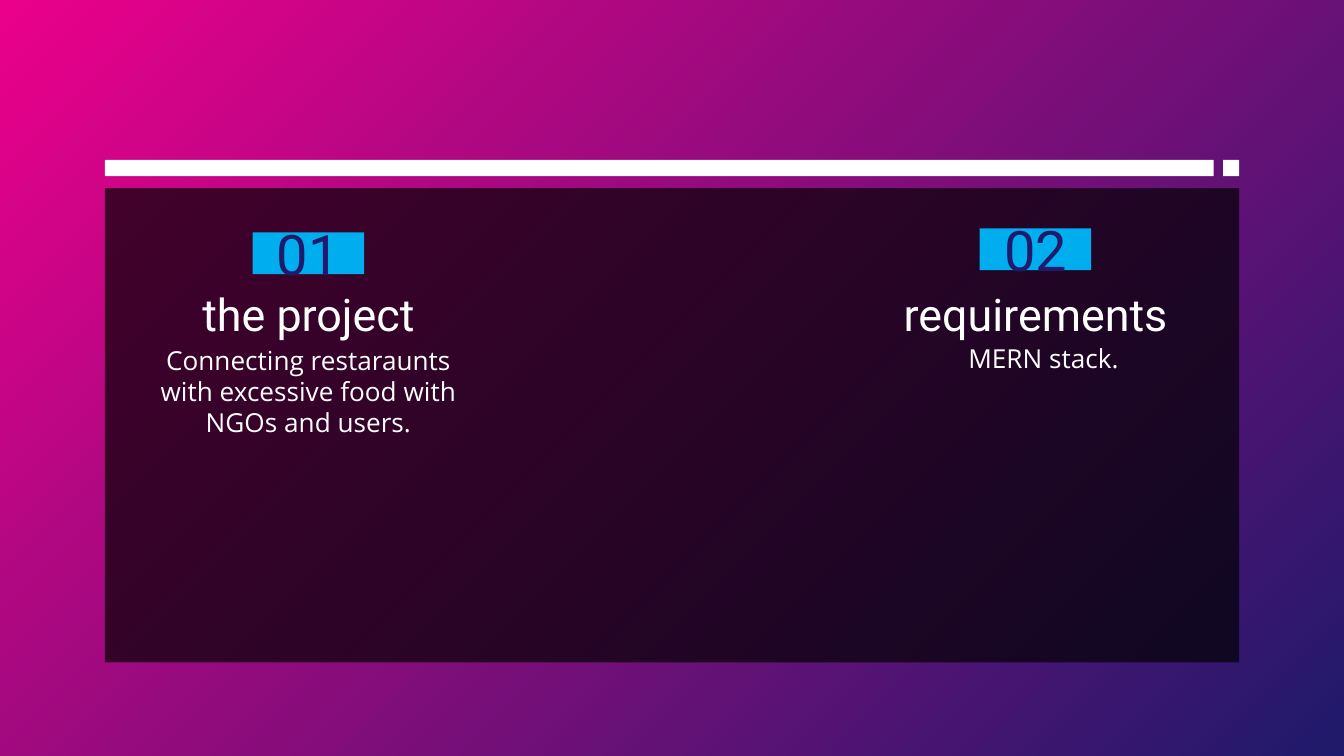
import pptx
import pptx.util
import pptx.dml.color
import pptx.enum.shapes
import pptx.enum.text
import pptx.oxml.ns
import lxml.etree

Inches, Pt = pptx.util.Inches, pptx.util.Pt
RGBColor = pptx.dml.color.RGBColor
Anchor = pptx.enum.text.MSO_ANCHOR

PINK = RGBColor(0xEB, 0x00, 0x8B)
NAVY = RGBColor(0x1F, 0x1A, 0x6B)
BLUE = RGBColor(0x00, 0xAD, 0xEE)
BLACK = RGBColor(0, 0, 0)
WHITE = RGBColor(255, 255, 255)
HEAD, BODY = "Roboto", "Open Sans"


def write(shape, text, size=14, font=BODY, color=WHITE, anchor=Anchor.TOP):
    frame = shape.text_frame
    frame.word_wrap = True
    frame.auto_size = pptx.enum.text.MSO_AUTO_SIZE.NONE
    frame.vertical_anchor = anchor
    frame.margin_left = frame.margin_right = Inches(0.1)
    frame.margin_top = frame.margin_bottom = Inches(0.1)
    para = frame.paragraphs[0]
    para.alignment = pptx.enum.text.PP_ALIGN.CENTER
    run = para.add_run()
    run.text = text
    run.font.size, run.font.name = Pt(size), font
    run.font.color.rgb = color


class Deck:
    def __init__(self, slide):
        self.slide = slide

    def back(self, start, end):
        fill = self.slide.background.fill
        fill.gradient()
        fill.gradient_angle = 315
        for stop, color in zip(fill.gradient_stops, (start, end)):
            stop.color.rgb = color

    def rect(self, box, color, alpha=None, group=None):
        home = group or self.slide
        shape = home.shapes.add_shape(
            pptx.enum.shapes.MSO_SHAPE.RECTANGLE, *map(Inches, box))
        shape.shadow.inherit = False
        shape.fill.solid()
        shape.fill.fore_color.rgb = color
        shape.line.fill.background()
        if alpha:
            tint = shape.fill._xPr.find(".//" + pptx.oxml.ns.qn("a:srgbClr"))
            lxml.etree.SubElement(tint, pptx.oxml.ns.qn("a:alpha"), val=str(alpha * 1000))
        return shape

    def title(self, box, color):
        shape = self.slide.shapes.title
        shape.left, shape.top, shape.width, shape.height = map(Inches, box)
        shape.fill.solid()
        shape.fill.fore_color.rgb = color
        # Bring the title in front of the panel
        self.slide.shapes._spTree.append(shape._element)
        return shape

    def text(self, box, words, **style):
        write(self.slide.shapes.add_textbox(*map(Inches, box)), words, **style)


def main():
    prs = pptx.Presentation()
    # Widescreen, 16 to 9
    prs.slide_width = Inches(10)
    prs.slide_height = prs.slide_width * 9 // 16
    deck = Deck(prs.slides.add_slide(prs.slide_layouts[5]))

    # Background and dark panel
    deck.back(PINK, NAVY)
    deck.rect((0.78, 1.4, 8.44, 3.53), BLACK, alpha=68)

    # Topics: number, number place, heading, heading left, body, body place
    topics = [
        ("01", (1.88, 1.73), "the project", 0.99,
         "Connecting restaraunts with excessive food with NGOs and users.", (0.99, 2.46)),
        ("02", (7.29, 1.7), "requirements", 6.4, "MERN stack.", (6.46, 2.45)),
    ]
    for num, spot, head, left, body, place in topics:
        make = deck.title if num == "01" else deck.rect
        tag = make((*spot, 0.83, 0.31), BLUE)
        write(tag, num, size=30, font=HEAD, color=NAVY, anchor=Anchor.MIDDLE)
        deck.text((left, 2.15, 2.61, 0.48), head, size=24, font=HEAD, anchor=Anchor.BOTTOM)
        deck.text((*place, 2.61, 0.55), body)

    # White bar with its end square
    bar = deck.slide.shapes.add_group_shape()
    for left, width in ((0.78, 8.25), (9.1, 0.12)):
        deck.rect((left, 1.19, width, 0.12), WHITE, group=bar)

    prs.save("out.pptx")


if __name__ == "__main__":
    main()
